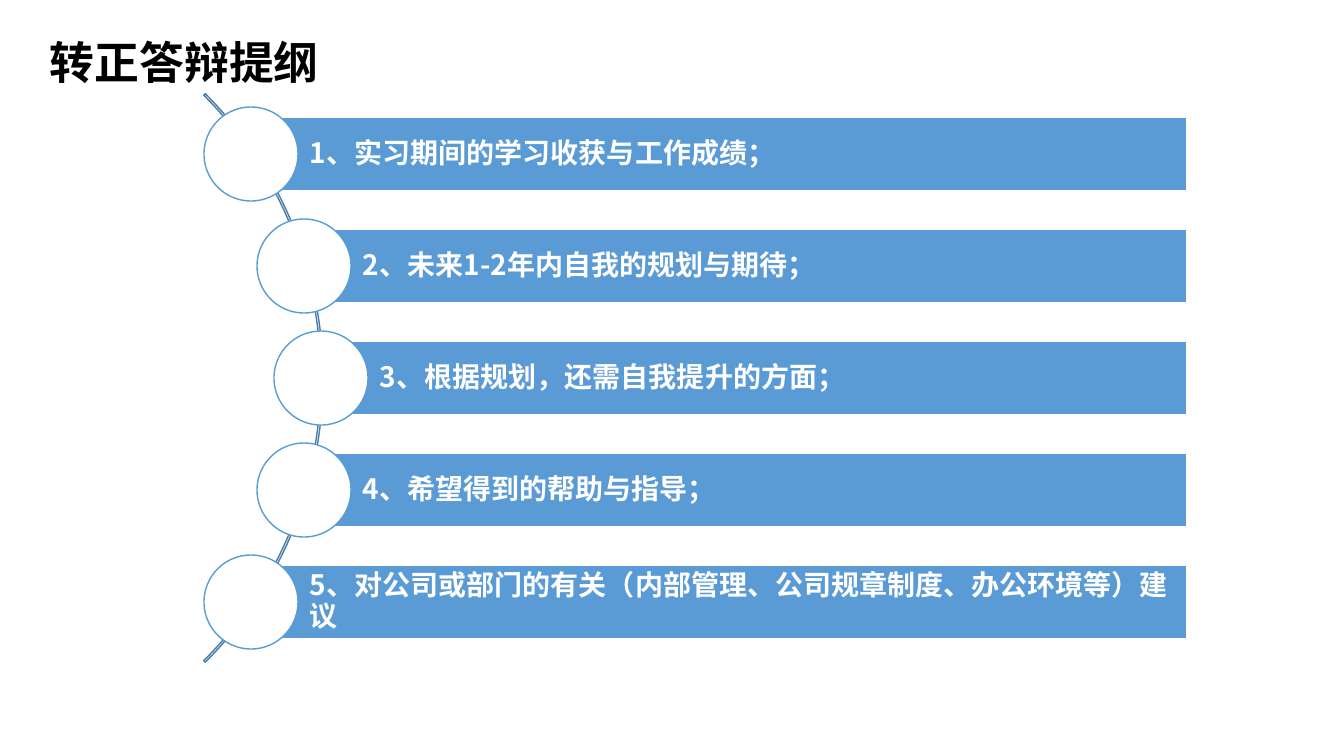
"""Build the outline slide: five bars with circles along an arc."""
from lxml.etree import SubElement
from pptx import Presentation
from pptx.dml.color import RGBColor
from pptx.enum.shapes import MSO_SHAPE
from pptx.enum.text import MSO_ANCHOR, MSO_AUTO_SIZE, PP_ALIGN
from pptx.oxml.ns import qn
from pptx.util import Pt

PX = 914400 / 100.8
THEME = {
    "font": "Noto Sans CJK SC",
    "head": Pt(32),
    "body": Pt(20),
    "rule": Pt(1),
    "blue": RGBColor.from_string("5B9BD5"),
    "arc": RGBColor.from_string("497CAB"),
    "white": RGBColor.from_string("FFFFFF"),
    "black": RGBColor.from_string("000000"),
}
ITEMS = [
    (251, "1、实习期间的学习收获与工作成绩；"),
    (304, "2、未来1-2年内自我的规划与期待；"),
    (321, "3、根据规划，还需自我提升的方面；"),
    (304, "4、希望得到的帮助与指导；"),
    (251, "5、对公司或部门的有关（内部管理、公司规章制度、办公环境等）建议"),
]
TOP, STEP, RIGHT = 154, 112, 1187
BAR, DISC, ARC = 74, 94, 804


def draw(kind, box, fill, line):
    shape = slide.shapes.add_shape(kind, *[round(n * PX) for n in box])
    shape.shadow.inherit = False
    if fill:
        shape.fill.solid()
        shape.fill.fore_color.rgb = THEME[fill]
    else:
        shape.fill.background()
    shape.line.color.rgb = THEME[line]
    shape.line.width = THEME["rule"]
    return shape


def write(shape, text, size, color, form):
    frame = shape.text_frame
    for name, value in form.items():
        setattr(frame, name, value)
    para = frame.paragraphs[0]
    para.alignment = PP_ALIGN.LEFT
    run = para.add_run()
    run.text = text
    look = {"size": THEME[size], "name": THEME["font"], "bold": True}
    for name, value in look.items():
        setattr(run.font, name, value)
    run.font.color.rgb = THEME[color]
    SubElement(run.font._element, qn("a:ea"), typeface=THEME["font"])
    return para


deck = Presentation()
deck.slide_width, deck.slide_height = round(1344 * PX), round(756 * PX)
slide = deck.slides.add_slide(deck.slide_layouts[6])

arc = draw(MSO_SHAPE.BLOCK_ARC, (-481, -24, ARC, ARC), None, "arc")
for spot, value in enumerate((189, 27, 0.0027)):
    arc.adjustments[spot] = value

edge = round(6 * PX)
form = {
    "word_wrap": True,
    "vertical_anchor": MSO_ANCHOR.MIDDLE,
    "margin_left": round(59 * PX),
    "margin_top": edge,
    "margin_right": edge,
    "margin_bottom": edge,
}
for row, (left, text) in enumerate(ITEMS):
    mid = TOP + row * STEP
    bar = draw(MSO_SHAPE.RECTANGLE, (left, mid - BAR // 2, RIGHT - left, BAR), "blue", "white")
    write(bar, text, "body", "white", form).line_spacing = 0.9
    draw(MSO_SHAPE.OVAL, (left - DISC // 2, mid - DISC // 2, DISC, DISC), "white", "blue")

title = slide.shapes.add_textbox(*[round(n * PX) for n in (40, 30, 459, 64)])
grow = {"word_wrap": True, "auto_size": MSO_AUTO_SIZE.SHAPE_TO_FIT_TEXT}
write(title, "转正答辩提纲", "head", "black", grow)

deck.save("out.pptx")
